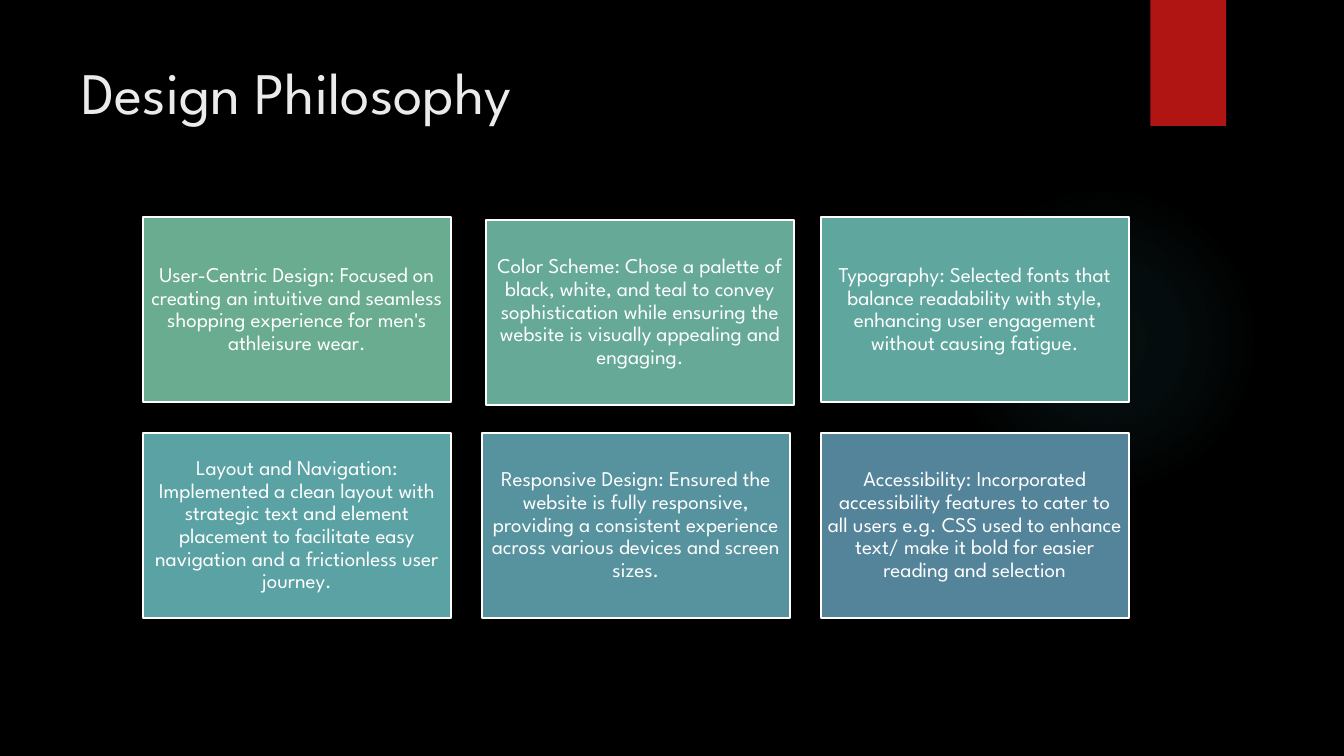
import pptx
import pptx.dml.color
import pptx.enum.shapes
import pptx.enum.text
import pptx.oxml
import pptx.oxml.ns
import pptx.util

Pt = pptx.util.Pt
RECT = pptx.enum.shapes.MSO_SHAPE.RECTANGLE
OVAL = pptx.enum.shapes.MSO_SHAPE.OVAL
FONT = "League Spartan"
NS = pptx.oxml.ns.nsdecls("a")

COLORS = {
    "background": "000000",
    "glow": "50B9C1",
    "ribbon": "B01513",
    "shadow": "000000",
    "title": "EBEBEB",
    "white": "FFFFFF",
    "user": "6AAC90",
    "scheme": "65A996",
    "type": "5FA79E",
    "layout": "5AA2A4",
    "responsive": "57939F",
    "access": "54849A",
}

CARDS = [
    ("user", "User-Centric Design: Focused on creating an intuitive and seamless "
             "shopping experience for men's athleisure wear."),
    ("scheme", "Color Scheme: Chose a palette of black, white, and teal to convey "
               "sophistication while ensuring the website is visually appealing and engaging."),
    ("type", "Typography: Selected fonts that balance readability with style, "
             "enhancing user engagement without causing fatigue."),
    ("layout", "Layout and Navigation: Implemented a clean layout with strategic text and "
               "element placement to facilitate easy navigation and a frictionless user journey."),
    ("responsive", "Responsive Design: Ensured the website is fully responsive, providing a "
                   "consistent experience across various devices and screen sizes."),
    ("access", "Accessibility: Incorporated accessibility features to cater to all users e.g. "
               "CSS used to enhance text/ make it bold for easier reading and selection"),
]
NUDGES = {"scheme": (2.88, 1.8)}


def rgb(name):
    return pptx.dml.color.RGBColor.from_string(COLORS[name])


def add_shape(slide, kind, box, color):
    sp = slide.shapes.add_shape(kind, *map(Pt, box))
    sp.shadow.inherit = False
    sp.fill.solid()
    sp.fill.fore_color.rgb = rgb(color)
    sp.line.fill.background()
    return sp


def style_text(p, text, size, color):
    p.text = text
    p.font.name = FONT
    p.font.size = Pt(size)
    p.font.color.rgb = rgb(color)


def add_glow(slide, box):
    sp = add_shape(slide, OVAL, box, "glow")
    stops = "".join(
        f'<a:gs pos="{pos * 1000}"><a:srgbClr val="{COLORS["glow"]}">'
        f'<a:alpha val="{alpha * 1000}"/></a:srgbClr></a:gs>'
        for pos, alpha in [(0, 7), (36, 6), (69, 0)])
    grad = pptx.oxml.parse_xml(
        f'<a:gradFill {NS}><a:gsLst>{stops}</a:gsLst><a:path path="circle">'
        '<a:fillToRect l="50000" t="50000" r="50000" b="50000"/></a:path></a:gradFill>')
    spPr = sp.element.spPr
    spPr.replace(spPr.find(pptx.oxml.ns.qn("a:solidFill")), grad)


def add_ribbon(slide, box):
    sp = add_shape(slide, RECT, box, "ribbon")
    shadow = pptx.oxml.parse_xml(
        f'<a:outerShdw {NS} blurRad="{Pt(3)}" dist="{Pt(2)}" dir="5400000" rotWithShape="0">'
        f'<a:srgbClr val="{COLORS["shadow"]}"><a:alpha val="45000"/></a:srgbClr></a:outerShdw>')
    sp.element.spPr.find(pptx.oxml.ns.qn("a:effectLst")).append(shadow)


def add_title(slide, box, text):
    tf = slide.shapes.add_textbox(*map(Pt, box)).text_frame
    tf.word_wrap = True
    style_text(tf.paragraphs[0], text, 42, "title")


def add_card(slide, box, color, text):
    sp = add_shape(slide, RECT, box, color)
    sp.line.color.rgb = rgb("white")
    sp.line.width = Pt(1.5)
    tf = sp.text_frame
    tf.word_wrap = True
    tf.vertical_anchor = pptx.enum.text.MSO_ANCHOR.MIDDLE
    tf.margin_left = tf.margin_right = tf.margin_top = tf.margin_bottom = Pt(4.5)
    p = tf.paragraphs[0]
    style_text(p, text, 15, "white")
    p.alignment = pptx.enum.text.PP_ALIGN.CENTER
    p.line_spacing = 0.9
    p.space_after = Pt(5.25)


def add_card_grid(slide, box, cols=3, rows=2, gap=21.9):
    left, top, width, height = box
    w = (width - (cols - 1) * gap) / cols
    h = (height - (rows - 1) * gap) / rows
    for i, (color, text) in enumerate(CARDS):
        row, col = divmod(i, cols)
        dx, dy = NUDGES.get(color, (0, 0))
        x = left + col * (w + gap) + dx
        y = top + row * (h + gap) + dy
        add_card(slide, (x, y, w, h), color, text)


def main():
    prs = pptx.Presentation()
    prs.slide_width, prs.slide_height = Pt(960), Pt(540)
    slide = prs.slides.add_slide(prs.slide_layouts[6])
    slide.background.fill.solid()
    slide.background.fill.fore_color.rgb = rgb("background")
    add_glow(slide, (677.5, 131.8, 221.8, 221.8))
    add_ribbon(slide, (821.8, 0, 54, 90))
    add_title(slide, (51, 36, 741, 110), "Design Philosophy")
    add_card_grid(slide, (102, 155.2, 704.4, 286.2))
    prs.save("out.pptx")


if __name__ == "__main__":
    main()
